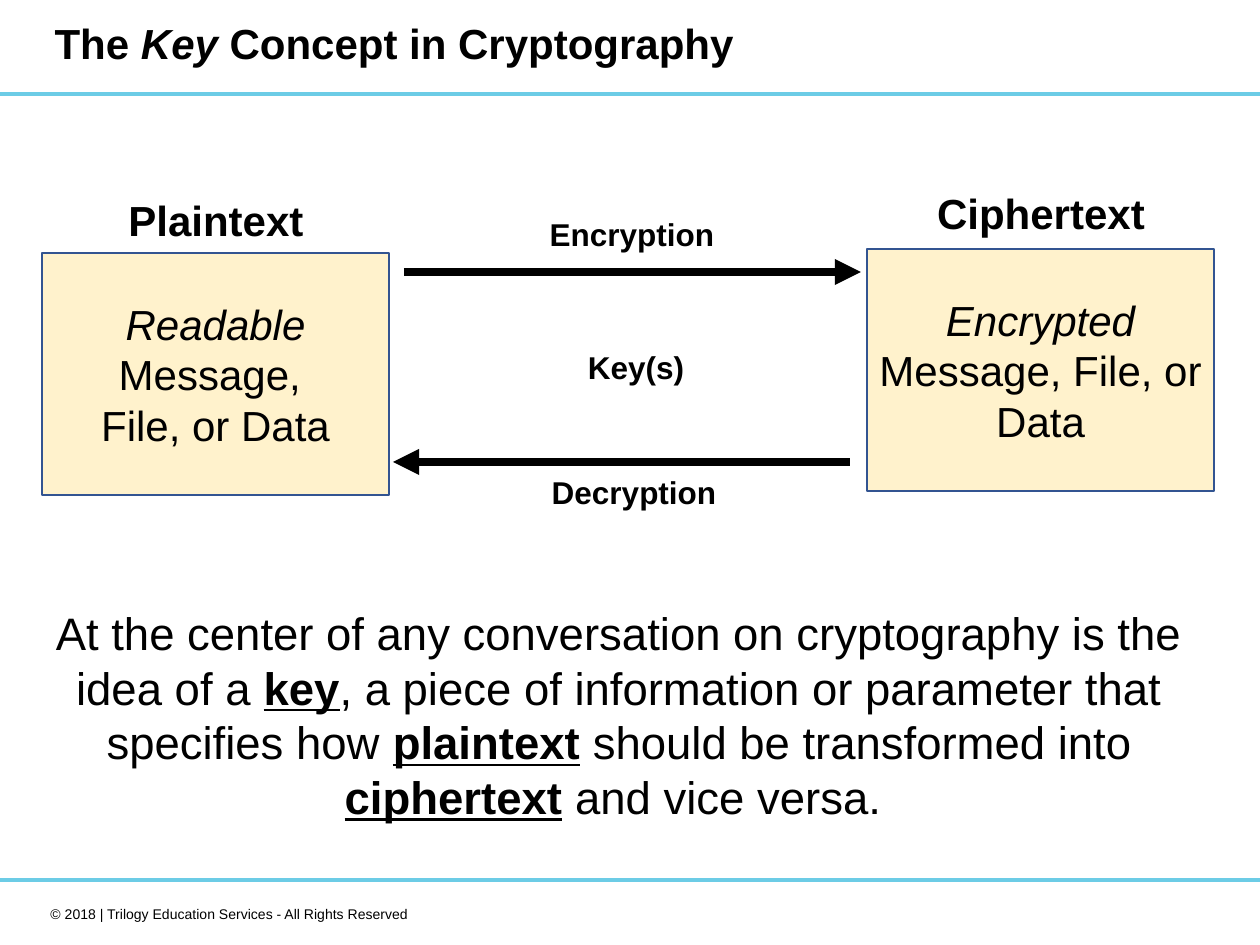
from lxml import etree
from pptx import Presentation
from pptx import util as u
from pptx.dml import color
from pptx.enum import shapes, text
from pptx.oxml import ns

SCALE = 914400 / 126
WIDTH, HEIGHT = 1260, 945
BLACK, TEAL, CREAM, NAVY = "000000", "6CCCE6", "FFF2CC", "325491"
CENTER, LEFT, RIGHT = text.PP_ALIGN.CENTER, text.PP_ALIGN.LEFT, text.PP_ALIGN.RIGHT


def px(*lengths):
    return [u.Emu(round(length * SCALE)) for length in lengths]


def rgb(value):
    return color.RGBColor.from_string(value)


def write(frame, paragraphs, size, align=CENTER, bold=None):
    frame.word_wrap = True
    for index, spans in enumerate(paragraphs):
        para = frame.add_paragraph() if index else frame.paragraphs[0]
        para.alignment = align
        para.font.name = "Arial"
        para.font.size = u.Pt(size)
        para.font.bold = bold
        para.font.color.rgb = rgb(BLACK)
        for words, style in spans:
            span = para.add_run()
            span.text = words
            if "b" in style:
                span.font.bold = True
            if "i" in style:
                span.font.italic = True
            if "u" in style:
                span.font.underline = True


def add_label(page, box, spans, size, align=CENTER, bold=None):
    label = page.shapes.add_textbox(*px(*box))
    write(label.text_frame, [spans], size, align, bold)


def add_rectangle(page, box, fill, line=None, kind=shapes.MSO_SHAPE.RECTANGLE):
    rectangle = page.shapes.add_shape(kind, *px(*box))
    rectangle.shadow.inherit = False
    rectangle.fill.solid()
    rectangle.fill.fore_color.rgb = rgb(fill)
    if line:
        rectangle.line.color.rgb = rgb(line)
        rectangle.line.width = u.Pt(1)
    else:
        rectangle.line.fill.background()
    return rectangle


def add_arrow(page, start, end, y):
    arrow = page.shapes.add_connector(
        shapes.MSO_CONNECTOR.STRAIGHT, *px(start, y, end, y))
    arrow.line.color.rgb = rgb(BLACK)
    arrow.line.width = u.Pt(5)
    properties = arrow.line._get_or_add_ln()
    etree.SubElement(properties, ns.qn("a:tailEnd"), type="triangle")
    etree.SubElement(arrow._element.spPr, ns.qn("a:effectLst"))


def add_header(page, box):
    left, top, width, height = box
    title = page.shapes.title
    title.left, title.top, title.width, title.height = px(left + 42, top, 1207, height)
    frame = title.text_frame
    frame.vertical_anchor = text.MSO_ANCHOR.MIDDLE
    frame.auto_size = text.MSO_AUTO_SIZE.NONE
    write(frame, [[("The ", ""), ("Key ", "i"), ("Concept in Cryptography", "")]],
          24, LEFT, True)
    frame.paragraphs[0].line_spacing = 0.9
    add_rectangle(page, (left, top + height + 1, width, 4), TEAL,
                  kind=shapes.MSO_SHAPE.FLOWCHART_PROCESS)


def add_footer(page, box):
    left, top, width, _ = box
    add_rectangle(page, (left, top, width, 4), TEAL,
                  kind=shapes.MSO_SHAPE.FLOWCHART_PROCESS)
    notice = "© 2018 | Trilogy Education Services - All Rights Reserved"
    add_label(page, (left + 21, top + 21, 400, 30), [(notice, "")], 8, RIGHT)


def add_panel(page, box, heading, rise, paragraphs):
    left, top, _, _ = box
    panel = add_rectangle(page, box, CREAM, NAVY)
    panel.text_frame.vertical_anchor = text.MSO_ANCHOR.MIDDLE
    write(panel.text_frame, paragraphs, 24)
    add_label(page, (left + 48, top - rise, 252, 63), [(heading, "")], 24, bold=True)


def add_exchange(page, box):
    left, top, width, height = box
    add_arrow(page, left + 11, left + width, top + 63)
    add_arrow(page, left + width - 11, left, top + height - 56)
    labels = [("Encryption", 113, 0), ("Key(s)", 117, 133), ("Decryption", 115, 258)]
    for words, x, y in labels:
        add_label(page, (left + x, top + y, 252, 50), [(words, "")], 18, bold=True)


def add_summary(page, box):
    add_label(page, box, [
        ("At the center of any conversation on cryptography is the idea of a ", ""),
        ("key", "bu"),
        (", a piece of information or parameter that specifies how ", ""),
        ("plaintext", "bu"), (" ", "b"),
        ("should be transformed into ", ""),
        ("ciphertext", "bu"), (" ", "b"),
        ("and vice versa. ", ""),
    ], 26)


def main():
    deck = Presentation()
    deck.slide_width, deck.slide_height = px(WIDTH, HEIGHT)
    page = deck.slides.add_slide(deck.slide_layouts[5])
    add_footer(page, (0, 878, WIDTH, 67))
    add_header(page, (0, 0, WIDTH, 91))
    add_summary(page, (21, 599, 1197, 233))
    add_panel(page, (42, 253, 347, 242), "Plaintext", 65,
              [[("Readable", "i")], [("Message, ", "")], [("File, or Data", "")]])
    add_panel(page, (867, 249, 347, 242), "Ciphertext", 68,
              [[("Encrypted", "i"), (" Message, File, or Data", "")]])
    add_exchange(page, (393, 209, 468, 309))
    deck.save("out.pptx")


if __name__ == "__main__":
    main()
